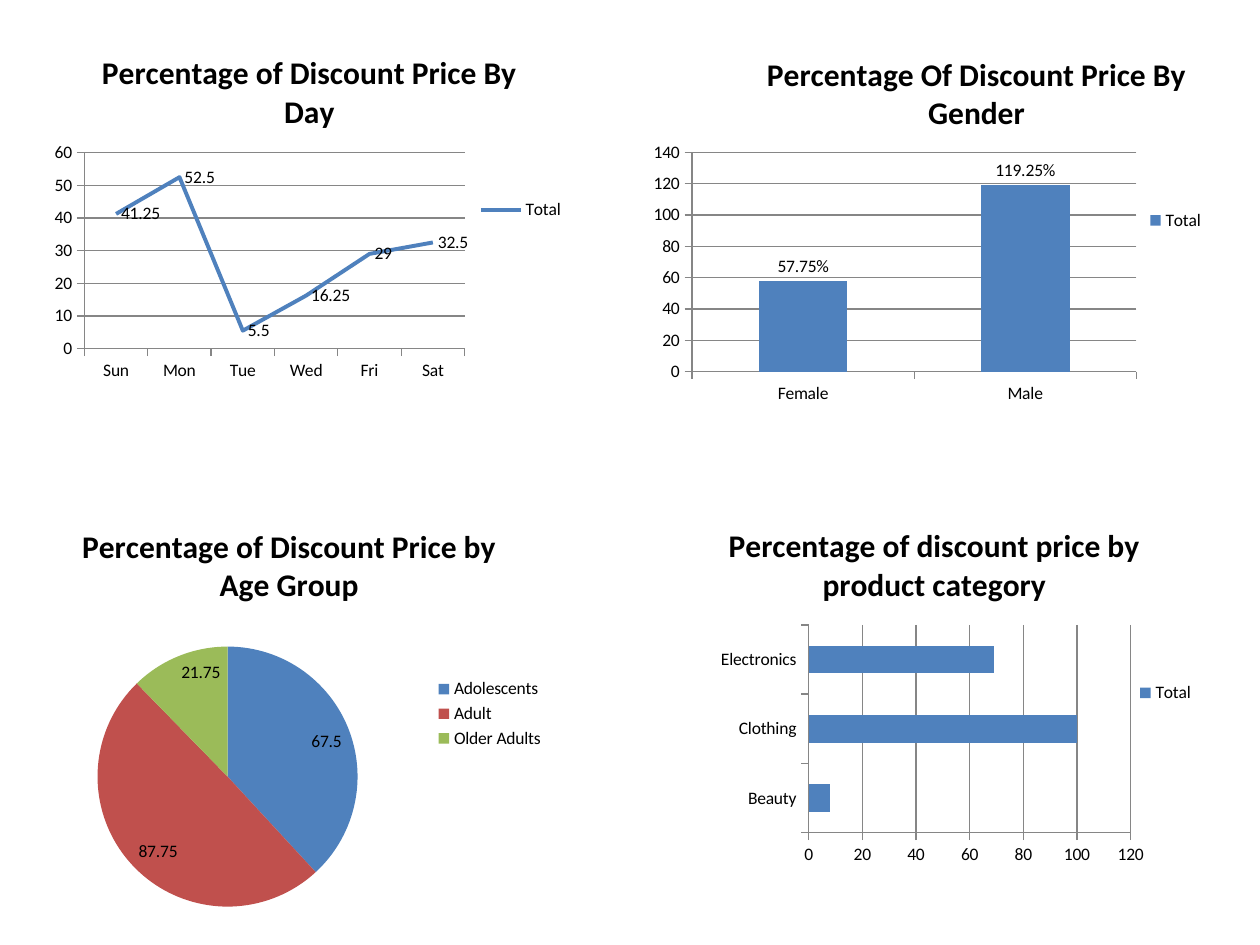
from pptx import Presentation
from pptx.chart.data import CategoryChartData
from pptx.dml.color import RGBColor
from pptx.enum.chart import XL_CHART_TYPE as Kind
from pptx.enum.chart import XL_LABEL_POSITION as LabelPosition
from pptx.enum.chart import XL_LEGEND_POSITION as LegendPosition
from pptx.enum.chart import XL_TICK_MARK as TickMark
from pptx.oxml import parse_xml
from pptx.oxml.ns import nsdecls
from pptx.util import Inches, Pt

BLACK = RGBColor(0x00, 0x00, 0x00)
GRAY = RGBColor(0x86, 0x86, 0x86)
BLUE = RGBColor(0x4F, 0x81, 0xBD)
RED = RGBColor(0xC0, 0x50, 0x4D)
GREEN = RGBColor(0x9B, 0xBB, 0x59)
FONT = "Calibri"


def style_font(font, size, bold=False):
    """Set the shared typeface and colour at the given size."""
    font.name, font.size, font.bold = FONT, Pt(size), bold
    font.color.rgb = BLACK


def set_layout(element, index, shares, inner=False):
    """Place a chart part by shares of the chart's size."""
    for layout in element.xpath("./c:layout"):
        element.remove(layout)
    target = '<c:layoutTarget val="inner"/>' if inner else ""
    modes = "".join(f'<c:{axis}Mode val="edge"/>' for axis in "xy")
    values = "".join(f'<c:{key} val="{share}"/>' for key, share in zip("xywh", shares))
    element.insert(index, parse_xml(
        f'<c:layout {nsdecls("c")}><c:manualLayout>{target}{modes}{values}'
        "</c:manualLayout></c:layout>"))


def add_chart(slide, kind, frame, title, name, values, plot_area):
    """Add a titled chart with a legend on the right."""
    data = CategoryChartData()
    data.categories = list(values)
    data.add_series(name, list(values.values()))
    chart = slide.shapes.add_chart(kind, *map(Inches, frame), data).chart
    style_font(chart.font, 10)
    chart.has_title = True
    chart.chart_title.include_in_layout = False
    paragraph = chart.chart_title.text_frame.paragraphs[0]
    paragraph.text = title
    style_font(paragraph.runs[0].font, 18, bold=True)
    chart.has_legend = True
    chart.legend.position = LegendPosition.RIGHT
    chart.legend.include_in_layout = False
    set_layout(chart.element.xpath("./c:chart/c:plotArea")[0], 0, plot_area, inner=True)
    return chart


def style_axes(chart):
    """Draw gray axes with outside ticks and value gridlines."""
    chart.value_axis.has_major_gridlines = True
    chart.value_axis.minimum_scale = 0
    chart.category_axis.has_major_gridlines = False
    lines = [chart.value_axis.major_gridlines.format.line]
    for axis in (chart.category_axis, chart.value_axis):
        axis.major_tick_mark = TickMark.OUTSIDE
        axis.minor_tick_mark = TickMark.NONE
        lines.append(axis.format.line)
    for line in lines:
        line.color.rgb = GRAY
        line.width = Pt(0.75)


def add_labels(chart, position, number_format="General"):
    """Show the values beside the data points."""
    plot = chart.plots[0]
    plot.has_data_labels = True
    labels = plot.data_labels
    labels.show_value = True
    labels.show_percentage = False
    labels.number_format = number_format
    labels.number_format_is_linked = False
    labels.position = position
    style_font(labels.font, 10)


def fill(part, color):
    """Fill a series or a point with a solid colour."""
    part.format.fill.solid()
    part.format.fill.fore_color.rgb = color


def style_bars(chart):
    """Fill the bars and set the gap between them."""
    style_axes(chart)
    plot = chart.plots[0]
    plot.vary_by_categories = False
    plot.gap_width = 150
    fill(plot.series[0], BLUE)


def add_day_chart(slide):
    """Add the line chart of discounts by day."""
    days = {"Sun": 41.25, "Mon": 52.5, "Tue": 5.5, "Wed": 16.25, "Fri": 29, "Sat": 32.5}
    chart = add_chart(slide, Kind.LINE, (0.33, 0.25, 4.25, 2.83),
                      "Percentage of Discount Price By Day", "Total", days,
                      (0.08, 0.34, 0.71, 0.55))
    style_axes(chart)
    chart.plots[0].vary_by_categories = False
    series = chart.plots[0].series[0]
    series.smooth = False
    series.format.line.color.rgb = BLUE
    series.format.line.width = Pt(2.25)
    add_labels(chart, LabelPosition.RIGHT)


def add_gender_chart(slide):
    """Add the column chart of discounts by gender."""
    chart = add_chart(slide, Kind.COLUMN_CLUSTERED, (5.08, 0.25, 4.58, 3),
                      "Percentage Of Discount Price By Gender", "Total",
                      {"Female": 57.75, "Male": 119.25}, (0.09, 0.32, 0.77, 0.58))
    set_layout(chart.chart_title.element, 1, (0.21, 0.04))
    style_bars(chart)
    add_labels(chart, LabelPosition.OUTSIDE_END, '0.00"%"')


def add_age_chart(slide):
    """Add the pie chart of discounts by age group."""
    ages = {"Adolescents": 67.5, "Adult": 87.75, "Older Adults": 21.75}
    chart = add_chart(slide, Kind.PIE, (0.17, 4, 4.25, 3.33),
                      "Percentage of Discount Price by Age Group", "Series 1", ages,
                      (0.14, 0.34, 0.49, 0.62))
    chart.plots[0].vary_by_categories = True
    for index, color in enumerate((BLUE, RED, GREEN)):
        fill(chart.plots[0].series[0].points[index], color)
    add_labels(chart, LabelPosition.INSIDE_END)


def add_category_chart(slide):
    """Add the bar chart of discounts by product category."""
    chart = add_chart(slide, Kind.BAR_CLUSTERED, (5.25, 4, 4.33, 3),
                      "Percentage of discount price by product category", "Total",
                      {"Beauty": 8, "Clothing": 100, "Electronics": 69},
                      (0.27, 0.32, 0.59, 0.55))
    style_bars(chart)


def main():
    """Build the slide of four discount charts."""
    presentation = Presentation()
    presentation.slide_width = Inches(10)
    presentation.slide_height = Inches(7.5)
    slide = presentation.slides.add_slide(presentation.slide_layouts[6])
    for add in (add_day_chart, add_gender_chart, add_age_chart, add_category_chart):
        add(slide)
    presentation.save("out.pptx")


if __name__ == "__main__":
    main()
